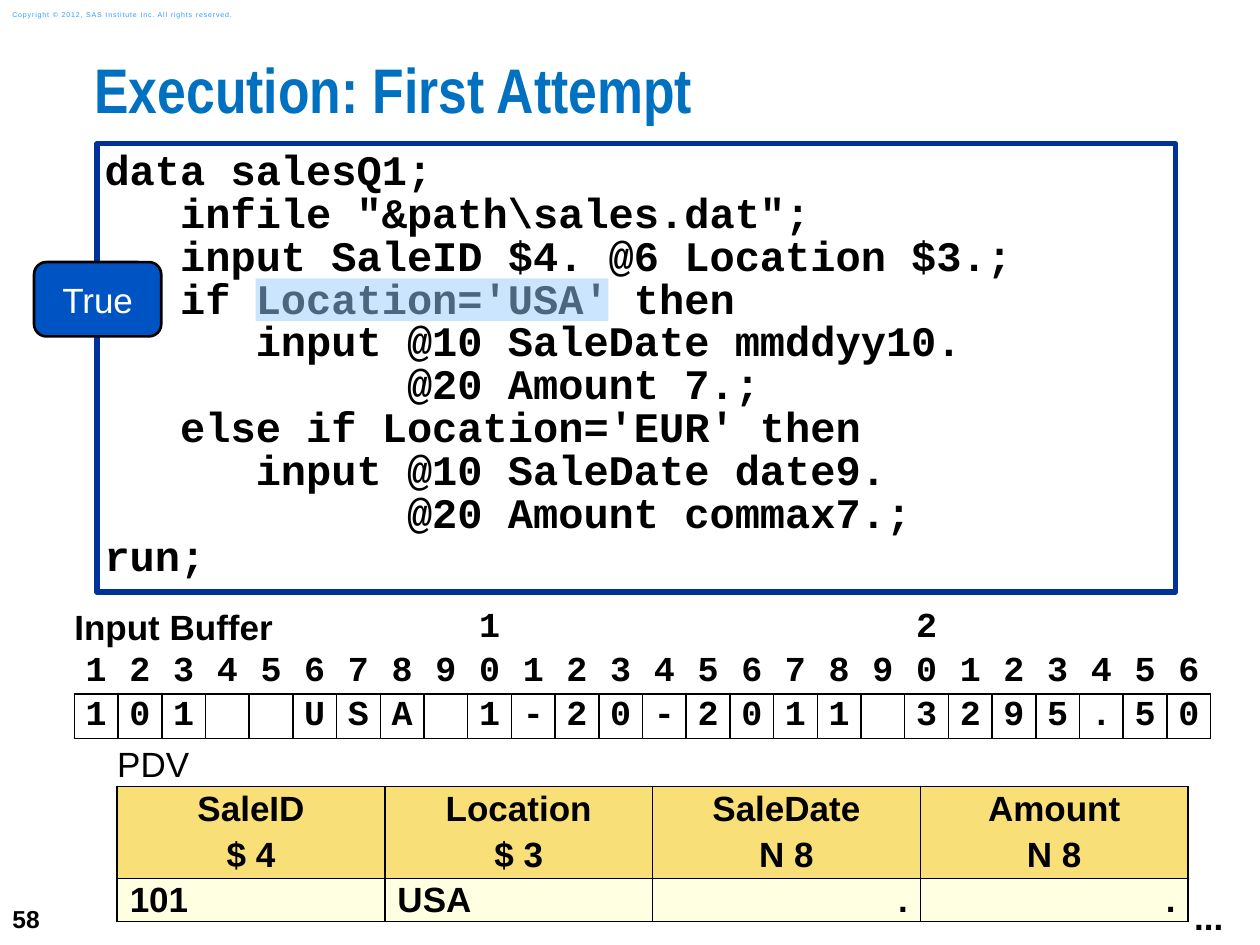
from typing import NamedTuple

from lxml.etree import SubElement
from pptx import Presentation
from pptx.dml.color import RGBColor as RGB
from pptx.enum.shapes import MSO_SHAPE as Kind
from pptx.enum.text import MSO_ANCHOR as Anchor, PP_ALIGN as Align
from pptx.oxml.ns import qn
from pptx.util import Inches, Pt

HUES = {
    "ink": "000000", "paper": "FFFFFF", "title": "0070C0", "note": "2A9CFF",
    "frame": "003399", "flag": "0053C3", "glow": "99CCFF",
    "head": "F9DF78", "row": "FFFFE1",
}
PLAIN = "{2D5ABB26-0587-4C30-8999-92F81FD0307C}"
CODE = r"""data salesQ1;
   infile "&path\sales.dat";
   input SaleID $4. @6 Location $3.;
   if Location='USA' then
      input @10 SaleDate mmddyy10.
            @20 Amount 7.;
   else if Location='EUR' then
      input @10 SaleDate date9.
            @20 Amount commax7.;
run;"""
BUFFER = "101  USA 1-20-2011 3295.50"


class Box(NamedTuple):
    left: float
    top: float
    width: float
    height: float

    def emu(self) -> list:
        return [Inches(n) for n in self]


class Field(NamedTuple):
    name: str
    kind: str
    value: str
    align: Align


FIELDS = [
    Field("SaleID", "$ 4", "101", Align.LEFT),
    Field("Location", "$ 3", "USA", Align.LEFT),
    Field("SaleDate", "N 8", ".", Align.RIGHT),
    Field("Amount", "N 8", ".", Align.RIGHT),
]


def hue(name: str) -> RGB:
    return RGB.from_string(HUES[name])


def put(frame, text: str, size=20, font="Arial", color="ink", bold=True,
        align=Align.LEFT, line=None, gap=0, track=None) -> None:
    """Fill a text frame with one paragraph per line of text."""
    for i, row in enumerate(text.split("\n")):
        para = frame.add_paragraph() if i else frame.paragraphs[0]
        para.alignment = align
        para.space_before = Pt(gap if i else 0)
        if line:
            para.line_spacing = line
        run = para.add_run()
        run.text = row
        run.font.size, run.font.name, run.font.bold = Pt(size), font, bold
        run.font.color.rgb = hue(color)
        if track:
            run.font._element.set("spc", str(track))


def inset(frame, side: float, ends: float) -> None:
    frame.margin_left = frame.margin_right = Inches(side)
    frame.margin_top = frame.margin_bottom = Inches(ends)


def label(slide, box: Box, text: str, anchor=Anchor.TOP, **style) -> None:
    frame = slide.shapes.add_textbox(*box.emu()).text_frame
    frame.word_wrap = True
    frame.vertical_anchor = anchor
    put(frame, text, **style)


def block(slide, kind: Kind, box: Box, fill: str, line=None, width=1):
    shape = slide.shapes.add_shape(kind, *box.emu())
    shape.shadow.inherit = False
    shape.fill.solid()
    shape.fill.fore_color.rgb = hue(fill)
    if line:
        shape.line.color.rgb = hue(line)
        shape.line.width = Pt(width)
    else:
        shape.line.fill.background()
    return shape


def grid(slide, box: Box, rows: list, cols: int):
    """Add an unstyled table with equal columns and given row heights."""
    table = slide.shapes.add_table(len(rows), cols, *box.emu()).table
    table.first_row = table.horz_banding = False
    table._tbl.tblPr.find(qn("a:tableStyleId")).text = PLAIN
    for col in table.columns:
        col.width = Inches(box.width / cols)
    for row, high in zip(table.rows, rows):
        row.height = Inches(high)
    for cell in table.iter_cells():
        inset(cell, 0, 0)
        cell.vertical_anchor = Anchor.MIDDLE
    return table


def edge(cell, sides="LRTB") -> None:
    """Draw black cell borders; call before setting the fill."""
    props = cell._tc.get_or_add_tcPr()
    for side in sides:
        line = SubElement(props, qn(f"a:ln{side}"), w=str(Pt(1)))
        paint = SubElement(line, qn("a:solidFill"))
        SubElement(paint, qn("a:srgbClr"), val=HUES["ink"])


def paint(cell, color: str) -> None:
    cell.fill.solid()
    cell.fill.fore_color.rgb = hue(color)


def add_buffer(slide) -> None:
    size = len(BUFFER)
    table = grid(slide, Box(0.59, 4.81, 9.02, 1.04), [0.35] * 3, size)
    mono = {"font": "Courier New", "align": Align.CENTER}
    table.cell(0, 0).merge(table.cell(0, 8))
    put(table.cell(0, 0).text_frame, "Input Buffer")
    for i, char in enumerate(BUFFER):
        tens, ones = divmod(i + 1, 10)
        if not ones:
            put(table.cell(0, i).text_frame, str(tens), **mono)
        put(table.cell(1, i).text_frame, str(ones), **mono)
        cell = table.cell(2, i)
        edge(cell)
        if char != " ":
            put(cell.text_frame, char, **mono)


def add_vector(slide) -> None:
    table = grid(slide, Box(0.93, 5.91, 8.5, 1.4), [0.33, 0.73, 0.34], len(FIELDS))
    top = table.cell(0, 0)
    top.merge(table.cell(0, len(FIELDS) - 1))
    edge(top, "B")
    paint(top, "paper")
    put(top.text_frame, "PDV", bold=False)
    for i, field in enumerate(FIELDS):
        head, value = table.cell(1, i), table.cell(2, i)
        for cell, color in ((head, "head"), (value, "row")):
            inset(cell, 0.1, 0)
            edge(cell)
            paint(cell, color)
        put(head.text_frame, f"{field.name}\n{field.kind}", align=Align.CENTER, gap=4)
        put(value.text_frame, field.value, align=field.align)


def main() -> None:
    deck = Presentation()
    deck.slide_width, deck.slide_height = Inches(10), Inches(7.5)
    slide = deck.slides.add_slide(deck.slide_layouts[5])

    title = slide.shapes.title
    title.left, title.top, title.width, title.height = Box(0.75, 0.5, 9.25, 0.74).emu()
    inset(title.text_frame, 0, 0)
    title.text_frame.vertical_anchor = Anchor.TOP
    put(title.text_frame, "Execution: First Attempt", size=36,
        font="Arial Narrow", color="title", line=0.83)

    label(slide, Box(0, 7.08, 0.58, 0.42), "58", Anchor.MIDDLE, size=14)
    label(slide, Box(0, 0.03, 2.11, 0.17),
          "Copyright © 2012, SAS Institute Inc. All rights reserved.",
          Anchor.MIDDLE, size=4, color="note", bold=False, track=50)

    code = block(slide, Kind.RECTANGLE, Box(0.77, 1.14, 8.56, 3.56), "paper", "frame", 3)
    inset(code.text_frame, 0.06, 0.06)
    code.text_frame.vertical_anchor = Anchor.TOP
    put(code.text_frame, CODE, size=24, font="Courier New", line=0.85)

    add_buffer(slide)
    add_vector(slide)

    flag = block(slide, Kind.ROUNDED_RECTANGLE, Box(0.27, 2.08, 1.01, 0.59),
                 "flag", "ink", 1.5)
    inset(flag.text_frame, 0.1, 0.1)
    put(flag.text_frame, "True", color="paper", bold=False, align=Align.CENTER)

    label(slide, Box(9.38, 7.06, 0.43, 0.44), "...")

    glow = block(slide, Kind.RECTANGLE, Box(2.03, 2.21, 2.8, 0.34), "glow")
    tint = glow.fill._xPr.find(qn("a:solidFill")).find(qn("a:srgbClr"))
    SubElement(tint, qn("a:alpha"), val="50000")

    deck.save("out.pptx")


if __name__ == "__main__":
    main()
